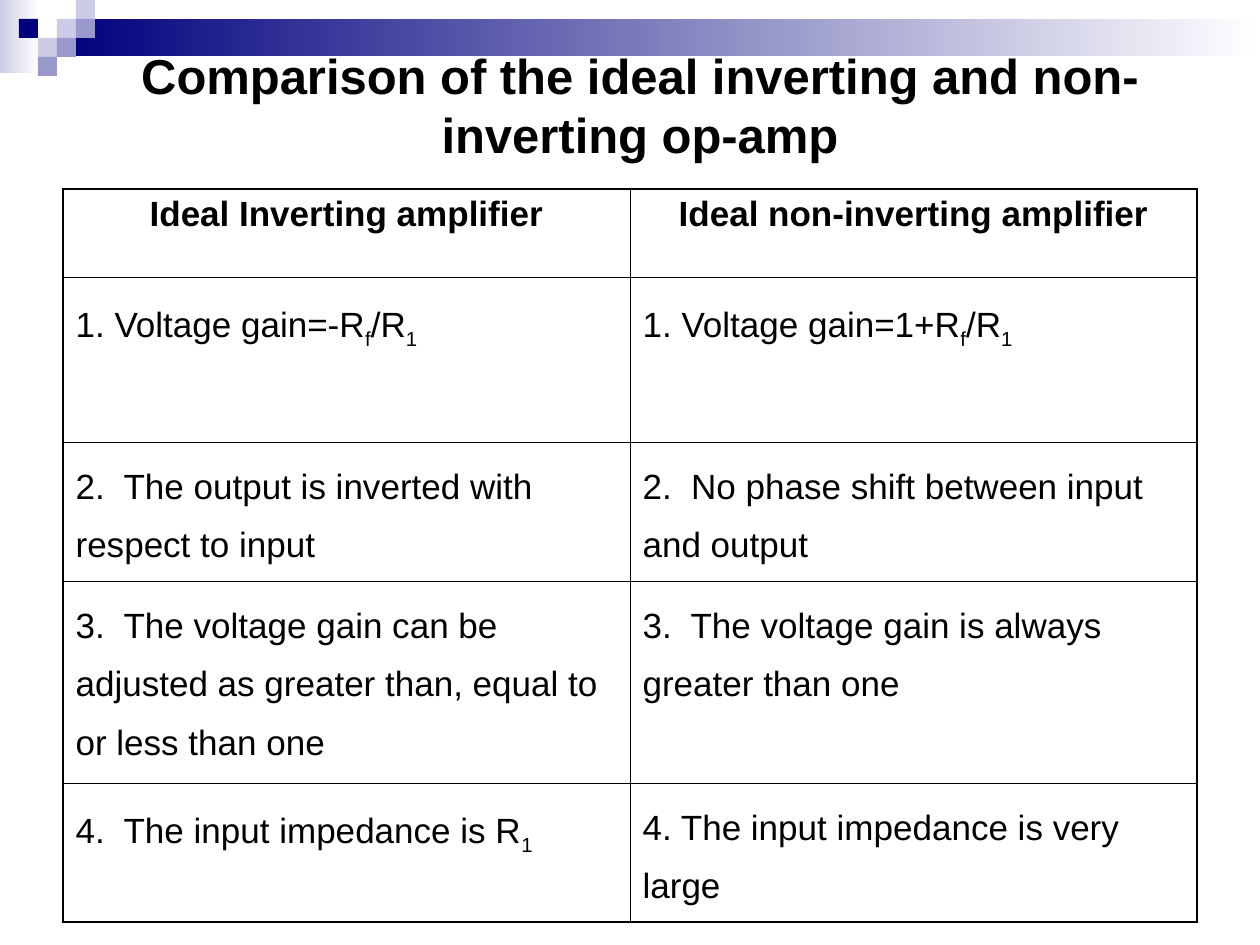
from lxml import etree
from pptx import Presentation, util as u
from pptx.dml.color import RGBColor
from pptx.enum import shapes, text
from pptx.oxml.ns import qn

PX = u.Inches(1) / 126
BLACK = RGBColor(0, 0, 0)
WHITE = RGBColor(0xFF, 0xFF, 0xFF)
NAVY = RGBColor(0x00, 0x00, 0x7D)
LILAC = RGBColor(0xCC, 0xCC, 0xE6)
VIOLET = RGBColor(0x99, 0x99, 0xCC)
THICK, THIN = u.Pt(1.08), u.Pt(0.45)


def add_block(page, left, top, width, height, color, fade=False):
    """Draw a borderless rectangle, optionally fading to white on the right."""
    block = page.shapes.add_shape(
        shapes.MSO_SHAPE.RECTANGLE, *(round(n * PX) for n in (left, top, width, height)))
    block.shadow.inherit = False
    block.line.fill.background()
    if fade:
        block.fill.gradient()
        block.fill.gradient_angle = 0
        for stop, shade in zip(block.fill.gradient_stops, (color, WHITE)):
            stop.color.rgb = shade
    else:
        block.fill.solid()
        block.fill.fore_color.rgb = color


def set_border(cell, side, width):
    """Draw one black cell border; sides must come in the order L, R, T, B."""
    line = etree.SubElement(cell._tc.get_or_add_tcPr(), qn(f"a:ln{side}"), w=str(width))
    fill = etree.SubElement(line, qn("a:solidFill"))
    etree.SubElement(fill, qn("a:srgbClr"), val=str(BLACK))


deck = Presentation()
deck.slide_width, deck.slide_height = round(1260 * PX), round(945 * PX)
page = deck.slides.add_slide(deck.slide_layouts[6])

# Header bands and mosaic of small squares
add_block(page, 0, 0, 39, 73, LILAC, fade=True)
add_block(page, 57, 19, 1203, 37, NAVY, fade=True)
SQUARE = 19
for column, row, color in [
    (3, 1, LILAC), (4, 0, LILAC), (4, 1, VIOLET), (2, 2, LILAC),
    (1, 1, NAVY), (3, 2, VIOLET), (2, 3, VIOLET),
]:
    add_block(page, column * SQUARE, row * SQUARE, SQUARE, SQUARE, color)

# Title
box = page.shapes.add_textbox(*(round(n * PX) for n in (73, 10, 1134, 189)))
frame = box.text_frame
frame.word_wrap = True
frame.vertical_anchor = text.MSO_ANCHOR.MIDDLE
para = frame.paragraphs[0]
para.text = "Comparison of the ideal inverting and non-inverting op-amp"
para.alignment = text.PP_ALIGN.CENTER
para.font.name, para.font.size, para.font.bold = "Arial", u.Pt(28), True
para.font.color.rgb = BLACK

# Comparison table: in each cell, every second span is a subscript
ROWS = [
    (88, ["Ideal Inverting amplifier"], ["Ideal non-inverting amplifier"]),
    (165, ["1. Voltage gain=-R", "f", "/R", "1"], ["1. Voltage gain=1+R", "f", "/R", "1"]),
    (139, ["2.  The output is inverted with respect to input"],
     ["2.  No phase shift between input and output"]),
    (202, ["3.  The voltage gain can be adjusted as greater than, equal to or less than one"],
     ["3.  The voltage gain is always greater than one"]),
    (139, ["4.  The input impedance is R", "1"], ["4. The input impedance is very large"]),
]
height = sum(row[0] for row in ROWS)
table = page.shapes.add_table(
    len(ROWS), 2, *(round(n * PX) for n in (63, 189, 1134, height))).table
table.first_row = table.horz_banding = False

for r, (row_height, *cells) in enumerate(ROWS):
    table.rows[r].height = round(row_height * PX)
    for c, spans in enumerate(cells):
        cell = table.cell(r, c)
        cell.margin_left = cell.margin_right = u.Inches(0.1)
        cell.margin_top = cell.margin_bottom = u.Inches(0.05)
        para = cell.text_frame.paragraphs[0]
        for i, words in enumerate(spans):
            span = para.add_run()
            span.text = words
            if i % 2:
                span.font._element.set("baseline", "-25000")
        para.font.name, para.font.size = "Arial", u.Pt(20)
        para.font.bold = r == 0
        para.font.color.rgb = BLACK
        if r == 0:
            para.alignment = text.PP_ALIGN.CENTER
        else:
            para.line_spacing = 1.5

        # Thick frame outside, thin rules inside
        outer = {"L": c == 0, "R": c == 1, "T": r == 0, "B": r == len(ROWS) - 1}
        for side, is_outer in outer.items():
            set_border(cell, side, THICK if is_outer else THIN)
        cell.fill.background()

deck.save("out.pptx")
